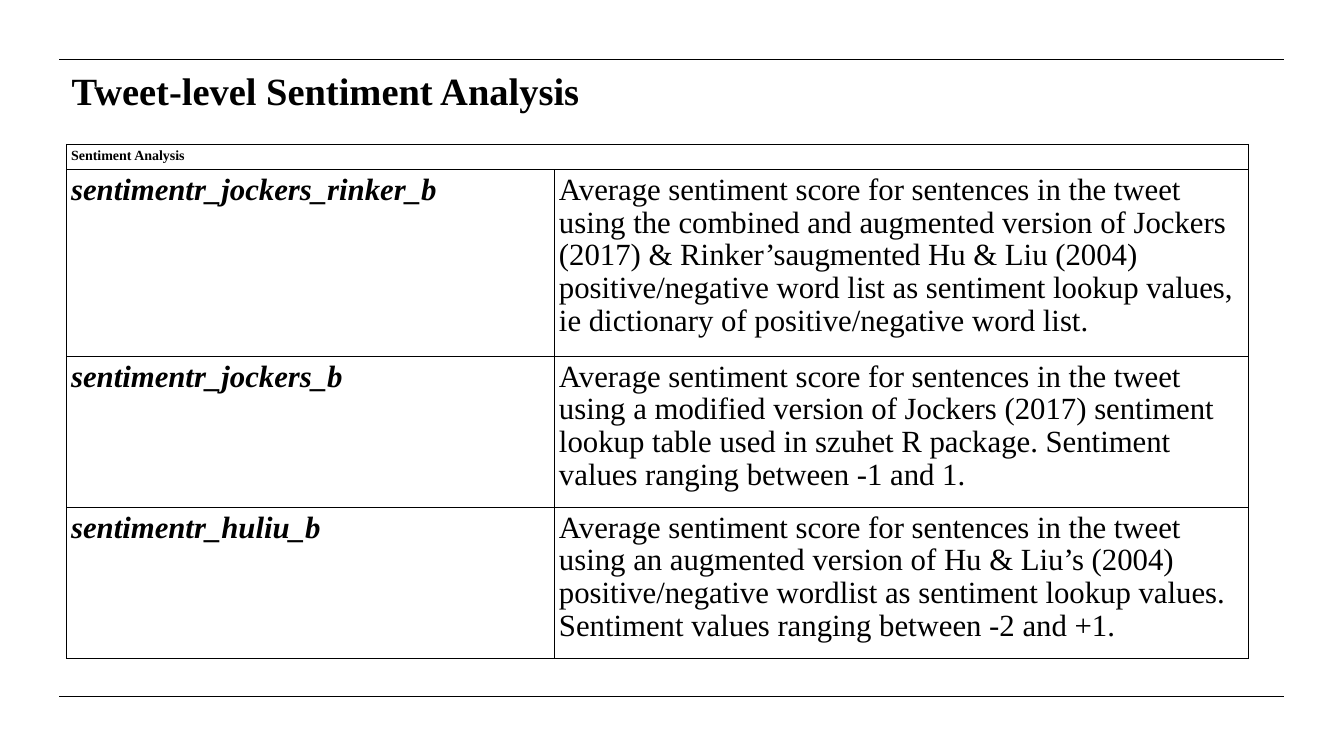
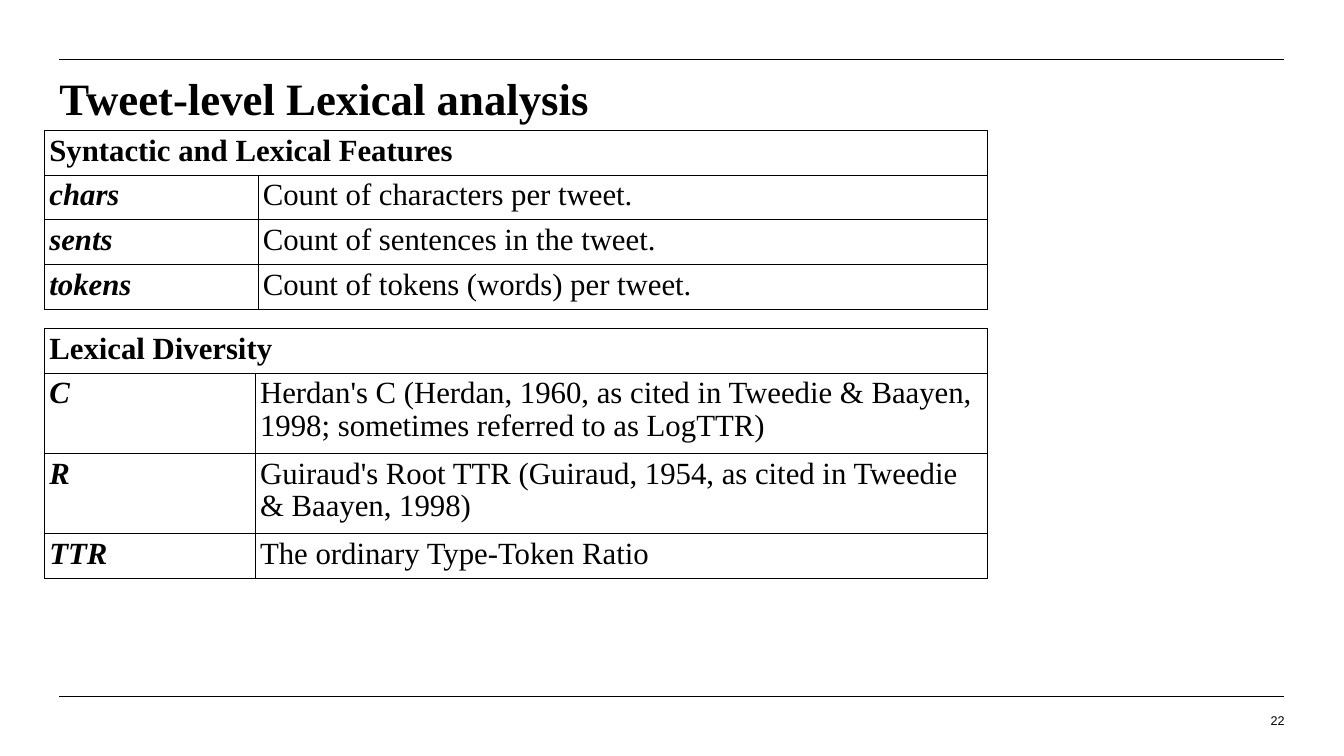
"""Builds two slides of feature tables for tweet-level text analysis."""
from dataclasses import dataclass

from lxml import etree
from pptx import Presentation
from pptx.dml.color import RGBColor
from pptx.enum import shapes, text
from pptx.oxml import ns
from pptx.util import Pt

BLACK = RGBColor(0, 0, 0)
SERIF, SANS = "Times New Roman", "Arial"
RULE_LEFT, RULE_RIGHT, RULE_YS = 42.5, 917.5, (42.5, 497.5)
RULE_WIDTH = 0.5
CELL_INSET, CELL_SIZE, CELL_SPACING = 3.3, 22, 0.96


@dataclass(frozen=True)
class Label:
    text: str
    left: float
    top: float
    width: float
    height: float
    size: float
    inset: float = 0
    font: str = SERIF
    bold: bool = True
    align: text.PP_ALIGN = text.PP_ALIGN.LEFT


@dataclass(frozen=True)
class Feature:
    name: str
    meaning: str
    height: float


@dataclass(frozen=True)
class FeatureTable:
    heading: str
    left: float
    top: float
    name_width: float
    meaning_width: float
    features: tuple[Feature, ...]
    heading_height: float = 31
    heading_size: float = CELL_SIZE


@dataclass(frozen=True)
class Page:
    labels: tuple[Label, ...]
    tables: tuple[FeatureTable, ...]


PAGES = (
    Page(
        (Label("Tweet-level Sentiment Analysis", 47.5, 44.6, 865, 37, 27.5, 3.6),),
        (FeatureTable("Sentiment Analysis", 47.5, 103, 348.5, 495.5, (
            Feature("sentimentr_jockers_rinker_b",
                    "Average sentiment score for sentences in the tweet using the combined and "
                    "augmented version of Jockers (2017) & Rinker’saugmented Hu & Liu (2004) "
                    "positive/negative word list as sentiment lookup values, ie dictionary of "
                    "positive/negative word list.", 128.5),
            Feature("sentimentr_jockers_b",
                    "Average sentiment score for sentences in the tweet using a modified version "
                    "of Jockers (2017) sentiment lookup table used in szuhet R package. Sentiment "
                    "values ranging between -1 and 1.", 104.2),
            Feature("sentimentr_huliu_b",
                    "Average sentiment score for sentences in the tweet using an augmented version "
                    "of Hu & Liu’s (2004) positive/negative wordlist as sentiment lookup values. "
                    "Sentiment values ranging between -2 and +1.", 104.2),
        ), 17.3, 10),),
    ),
    Page(
        (Label("Tweet-level Lexical analysis", 42.5, 50.4, 875, 70, 32),
         Label("22", 857.5, 509, 60, 17, 9, font=SANS, bold=False,
               align=text.PP_ALIGN.RIGHT)),
        (FeatureTable("Syntactic and Lexical Features", 32, 93, 152.5, 521, (
            Feature("chars", "Count of characters per tweet.", 31),
            Feature("sents", "Count of sentences in the tweet.", 31),
            Feature("tokens", "Count of tokens (words) per tweet.", 31),
        )),
         FeatureTable("Lexical Diversity", 32, 234.5, 150.5, 523, (
             Feature("C", "Herdan's C (Herdan, 1960, as cited in Tweedie & Baayen, 1998; "
                          "sometimes referred to as LogTTR)", 55.4),
             Feature("R", "Guiraud's Root TTR (Guiraud, 1954, as cited in Tweedie & Baayen, "
                          "1998)", 55.4),
             Feature("TTR", "The ordinary Type-Token Ratio", 31),
         ))),
    ),
)


def set_insets(box, inset: float) -> None:
    box.margin_left = box.margin_right = Pt(inset)
    box.margin_top = box.margin_bottom = Pt(inset)


def add_run(p, content: str, size: float, font: str = SERIF,
            bold: bool = False, italic: bool = False) -> None:
    r = p.add_run()
    r.text = content
    r.font.size, r.font.name = Pt(size), font
    r.font.bold, r.font.italic = bold, italic
    r.font.color.rgb = BLACK


def add_rules(s) -> None:
    for y in RULE_YS:
        rule = s.shapes.add_connector(shapes.MSO_CONNECTOR.STRAIGHT,
                                      Pt(RULE_LEFT), Pt(y), Pt(RULE_RIGHT), Pt(y))
        rule.line.width = Pt(RULE_WIDTH)
        rule.line.color.rgb = BLACK
        etree.SubElement(rule._element.spPr, ns.qn("a:effectLst"))


def add_label(s, label: Label) -> None:
    sp = s.shapes.add_textbox(Pt(label.left), Pt(label.top), Pt(label.width), Pt(label.height))
    tf = sp.text_frame
    tf.word_wrap = True
    set_insets(tf, label.inset)
    p = tf.paragraphs[0]
    p.alignment = label.align
    add_run(p, label.text, label.size, label.font, label.bold)


def style_cell(cell) -> None:
    set_insets(cell, CELL_INSET)
    props = cell._tc.get_or_add_tcPr()
    for side in ("lnL", "lnR", "lnT", "lnB"):
        ln = etree.SubElement(props, ns.qn(f"a:{side}"), w=str(Pt(RULE_WIDTH)))
        fill = etree.SubElement(ln, ns.qn("a:solidFill"))
        etree.SubElement(fill, ns.qn("a:srgbClr"), val=str(BLACK))
    cell.fill.background()


def write_cell(cell, content: str, size: float = CELL_SIZE,
               bold: bool = False, italic: bool = False) -> None:
    p = cell.text_frame.paragraphs[0]
    p.line_spacing = CELL_SPACING
    add_run(p, content, size, bold=bold, italic=italic)


def add_feature_table(s, spec: FeatureTable) -> None:
    widths = (spec.name_width, spec.meaning_width)
    heights = (spec.heading_height, *(f.height for f in spec.features))
    table = s.shapes.add_table(len(heights), len(widths), Pt(spec.left), Pt(spec.top),
                               Pt(sum(widths)), Pt(sum(heights))).table
    table.first_row = table.horz_banding = False
    for column, width in zip(table.columns, widths):
        column.width = Pt(width)
    for row, height in zip(table.rows, heights):
        row.height = Pt(height)
    for cell in table.iter_cells():
        style_cell(cell)
    table.cell(0, 0).merge(table.cell(0, 1))
    write_cell(table.cell(0, 0), spec.heading, spec.heading_size, bold=True)
    for i, feature in enumerate(spec.features, 1):
        write_cell(table.cell(i, 0), feature.name, bold=True, italic=True)
        write_cell(table.cell(i, 1), feature.meaning)


def main() -> None:
    prs = Presentation()
    prs.slide_width, prs.slide_height = Pt(960), Pt(540)
    for page in PAGES:
        s = prs.slides.add_slide(prs.slide_layouts[6])
        add_rules(s)
        for label in page.labels:
            add_label(s, label)
        for table in page.tables:
            add_feature_table(s, table)
    prs.save("out.pptx")


if __name__ == "__main__":
    main()
